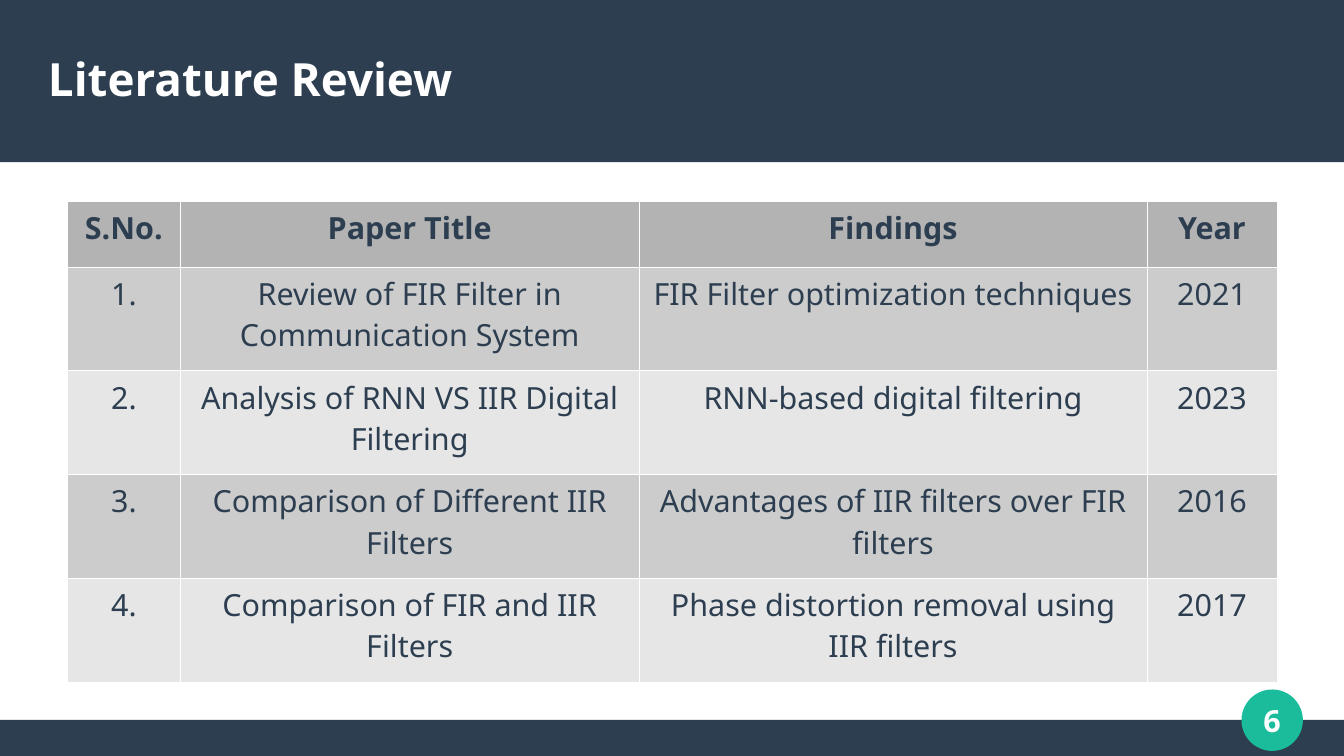
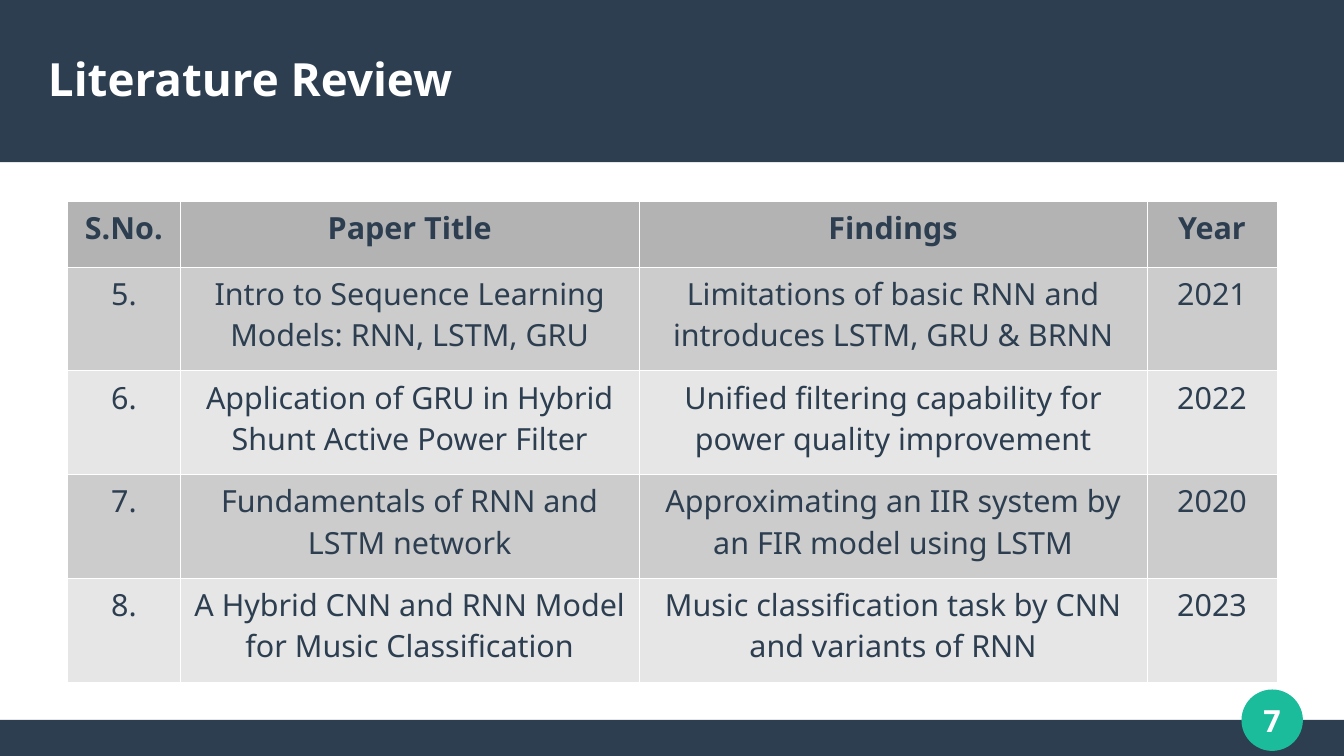
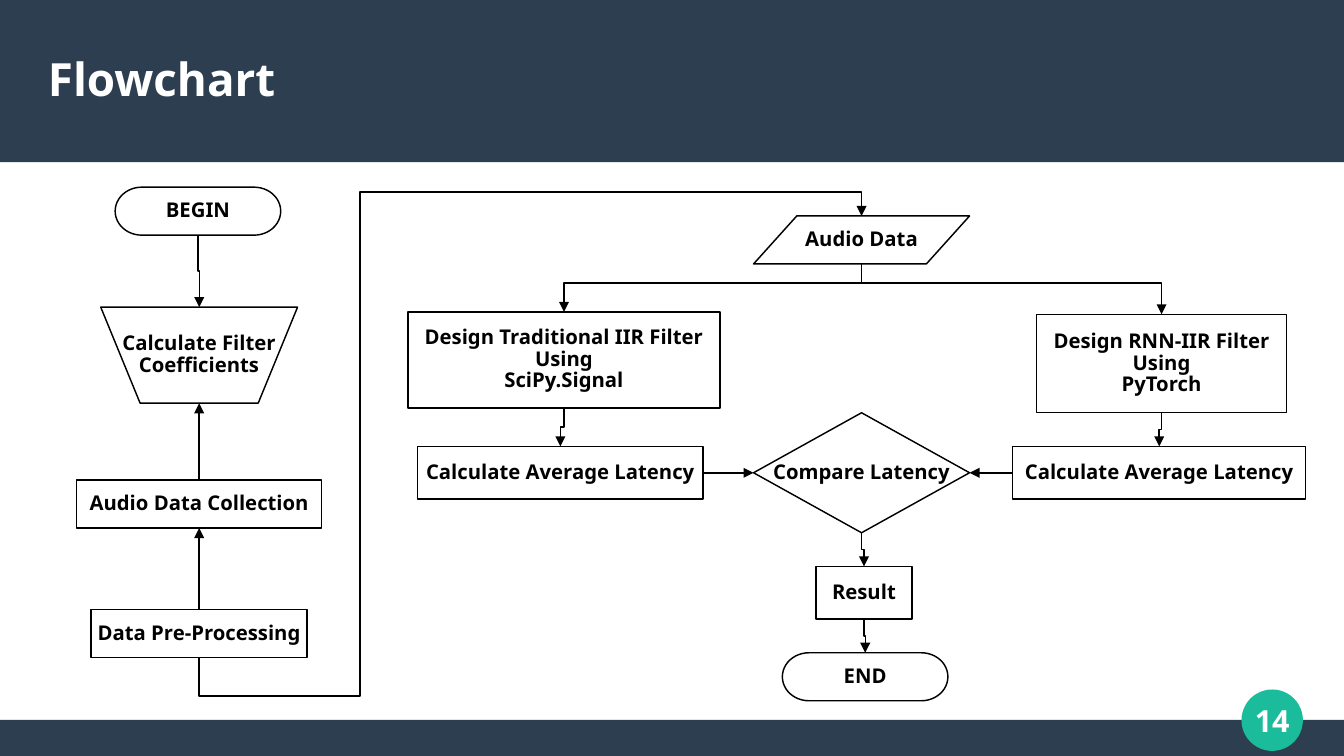
from pptx import Presentation
from pptx import util as u
from pptx.dml.color import RGBColor
from pptx.enum import shapes, text
from pptx.oxml import ns, xmlchemy

COLS, ROWS = 28, 15.75
CELL = u.Cm(1)
FONT = "Noto Sans"
NAVY = RGBColor(0x2C, 0x3E, 0x50)
TEAL = RGBColor(0x1A, 0xBC, 0x9C)
WHITE = RGBColor(0xFF, 0xFF, 0xFF)
BLACK = RGBColor(0, 0, 0)
HEAD = RGBColor(0xB3, 0xB3, 0xB3)
STRIPES = RGBColor(0xCC, 0xCC, 0xCC), RGBColor(0xE6, 0xE6, 0xE6)
THIN = u.Pt(0.85)
KIND = shapes.MSO_SHAPE
LINK = shapes.MSO_CONNECTOR
ALIGN = text.PP_ALIGN

FIELDS = ("S.No.", "Paper Title", "Findings", "Year")
WIDTHS = (2.36, 9.55, 10.59, 2.7)
PAPERS = [
    ("Review of FIR Filter in Communication System",
     "FIR Filter optimization techniques", "2021"),
    ("Analysis of RNN VS IIR Digital Filtering",
     "RNN-based digital filtering", "2023"),
    ("Comparison of Different IIR Filters",
     "Advantages of IIR filters over FIR filters", "2016"),
    ("Comparison of FIR and IIR Filters",
     "Phase distortion removal using IIR filters", "2017"),
    ("Intro to Sequence Learning Models: RNN, LSTM, GRU",
     "Limitations of basic RNN and introduces LSTM, GRU & BRNN", "2021"),
    ("Application of GRU in Hybrid Shunt Active Power Filter",
     "Unified filtering capability for power quality improvement", "2022"),
    ("Fundamentals of RNN and LSTM network",
     "Approximating an IIR system by an FIR model using LSTM", "2020"),
    ("A Hybrid CNN and RNN Model for Music Classification",
     "Music classification task by CNN and variants of RNN", "2023"),
]
PROC = KIND.FLOWCHART_PROCESS
ENDS = KIND.FLOWCHART_TERMINATOR
LATENCY = "Calculate Average Latency"
NODES = {
    "begin": (ENDS, (2.4, 3.9, 3.45, 1), "BEGIN"),
    "calc": (KIND.FLOWCHART_MANUAL_OPERATION, (2.1, 6.4, 4.1, 2),
             "Calculate Filter\nCoefficients"),
    "plain": (PROC, (8.5, 6.5, 6.5, 2),
              "Design Traditional IIR Filter\nUsing\nSciPy.Signal"),
    "compare": (KIND.FLOWCHART_DECISION, (15.7, 8.6, 4.5, 2.5),
                "Compare Latency"),
    "neural": (PROC, (21.6, 6.55, 5.2, 2.05),
               "Design RNN-IIR Filter\nUsing\nPyTorch"),
    "audio": (KIND.FLOWCHART_DATA, (15.7, 4.5, 4.5, 1), "Audio Data"),
    "prep": (PROC, (1.9, 12.7, 4.5, 1), "Data Pre-Processing"),
    "left": (PROC, (8.7, 9.3, 5.95, 1.1), LATENCY),
    "collect": (PROC, (1.6, 10, 5.1, 1), "Audio Data Collection"),
    "right": (PROC, (21.1, 9.3, 6.1, 1.1), LATENCY),
    "result": (PROC, (17, 11.8, 2, 1.1), "Result"),
    "end": (ENDS, (16.3, 13.6, 3.45, 1), "END"),
}
DROPS = [("begin", "calc", None), ("audio", "plain", 0.4),
         ("audio", "neural", 0.4), ("plain", "left", None),
         ("neural", "right", None), ("compare", "result", None),
         ("result", "end", None)]
RUNS = [("collect", "top", "calc", "bottom"),
        ("prep", "top", "collect", "bottom"),
        ("left", "right", "compare", "left"),
        ("right", "left", "compare", "right")]


def grid(*spans):
    return [round(span * CELL) for span in spans]


def add(parent, tag, **attrs):
    node = xmlchemy.OxmlElement(tag)
    for key, value in attrs.items():
        node.set(key, str(value))
    parent.append(node)
    return node


def write(frame, words, size=18, color=NAVY, bold=False,
          align=ALIGN.CENTER, space=None):
    for num, words in enumerate(words.split("\n")):
        para = frame.add_paragraph() if num else frame.paragraphs[0]
        para.alignment = align
        if space:
            para.line_spacing = space
        run = para.add_run()
        run.text = words
        font = run.font
        font.name, font.size, font.bold = FONT, u.Pt(size), bold
        font.color.rgb = color


def pad(frame, *, wrap, inset=None):
    frame.word_wrap = wrap
    frame.vertical_anchor = text.MSO_ANCHOR.MIDDLE
    if inset is not None:
        frame.margin_left = frame.margin_right = inset
        frame.margin_top = frame.margin_bottom = inset


def block(slide, kind, box, fill, edge=None):
    shape = slide.shapes.add_shape(kind, *grid(*box))
    shape.shadow.inherit = False
    shape.fill.solid()
    shape.fill.fore_color.rgb = fill
    if edge is None:
        shape.line.fill.background()
    else:
        shape.line.color.rgb = edge
        shape.line.width = THIN
    return shape


def page(deck, title, number):
    slide = deck.slides.add_slide(deck.slide_layouts[6])
    block(slide, KIND.RECTANGLE, (0, 15, COLS, ROWS - 15), NAVY)
    block(slide, KIND.RECTANGLE, (0, 0, COLS, 3.38), NAVY)
    badge = block(slide, KIND.OVAL, (25.88, 14.38, 1.25, 1.25), TEAL, TEAL)
    pad(badge.text_frame, wrap=False, inset=0)
    write(badge.text_frame, str(number), color=WHITE, bold=True)
    head = slide.shapes.add_textbox(*grid(1, 0.63, 26, 2)).text_frame
    pad(head, wrap=True, inset=0)
    write(head, title, size=27, color=WHITE, bold=True, align=ALIGN.LEFT)
    return slide


def border(cell):
    props = cell._tc.get_or_add_tcPr()
    for spot, side in enumerate(("lnL", "lnR", "lnT", "lnB")):
        line = xmlchemy.OxmlElement("a:" + side)
        line.set("w", str(u.Pt(0.06)))
        fill = add(line, "a:solidFill")
        add(fill, "a:srgbClr", val=WHITE)
        props.insert(spot, line)


def review(slide, first, papers):
    rows = [FIELDS]
    rows += [(f"{num}.", *paper) for num, paper in enumerate(papers, first)]
    tall = [1.37] + [2.16] * len(papers)
    box = grid(1.4, 4.19, sum(WIDTHS), sum(tall))
    table = slide.shapes.add_table(len(rows), len(FIELDS), *box).table
    for col, width in zip(table.columns, grid(*WIDTHS)):
        col.width = width
    for row, height in zip(table.rows, grid(*tall)):
        row.height = height
    for r, row in enumerate(rows):
        for c, words in enumerate(row):
            cell = table.cell(r, c)
            cell.fill.solid()
            cell.fill.fore_color.rgb = STRIPES[(r - 1) % 2] if r else HEAD
            border(cell)
            write(cell.text_frame, words, bold=r == 0)


def port(name, side):
    x, y, w, h = NODES[name][1]
    return {"top": (x + w / 2, y), "bottom": (x + w / 2, y + h),
            "left": (x, y + h / 2), "right": (x + w, y + h / 2)}[side]


def arrow(slide, start, stop, kind=LINK.STRAIGHT):
    line = slide.shapes.add_connector(kind, *grid(*start, *stop))
    line.line.color.rgb = BLACK
    line.line.width = THIN
    add(line.line._get_or_add_ln(), "a:tailEnd", type="triangle")
    add(line._element.spPr, "a:effectLst")
    return line


def bend(slide, start, stop, *turns):
    line = arrow(slide, start, stop, LINK.ELBOW)
    (x, y), (x2, y2) = start, stop
    wide, tall = abs(x2 - x), abs(y2 - y)
    line.left, line.top, line.width, line.height = grid(
        (x + x2 - tall) / 2, (y + y2 - wide) / 2, tall, wide)
    props = line._element.spPr
    frame = props.find(ns.qn("a:xfrm"))
    for flip in ("flipH", "flipV"):
        frame.attrib.pop(flip, None)
    frame.set("rot", str((270 if x2 > x else 90) * 60000))
    if x2 > x and y2 > y:
        frame.set("flipH", "1")
    shape = props.find(ns.qn("a:prstGeom"))
    shape.set("prst", f"bentConnector{len(turns) + 2}")
    guides = shape.find(ns.qn("a:avLst"))
    if guides is None:
        guides = add(shape, "a:avLst")
    for num, turn in enumerate(turns, 1):
        base, span = (x, x2 - x) if num == 2 else (y, y2 - y)
        share = round((turn - base) / span * 100000)
        add(guides, "a:gd", name=f"adj{num}", fmla=f"val {share}")


def flow(slide):
    for kind, box, words in NODES.values():
        frame = block(slide, kind, box, WHITE, BLACK).text_frame
        pad(frame, wrap=False)
        write(frame, words, size=12, color=BLACK, bold=True, space=0.88)
    for above, below, depth in DROPS:
        start, stop = port(above, "bottom"), port(below, "top")
        bend(slide, start, stop,
             start[1] + (depth or (stop[1] - start[1]) / 2))
    for source, out, target, into in RUNS:
        arrow(slide, port(source, out), port(target, into))
    bend(slide, port("prep", "bottom"), port("audio", "top"), 14.5, 7.5, 4)


def main():
    deck = Presentation()
    deck.slide_width, deck.slide_height = grid(COLS, ROWS)
    for number, first in ((6, 1), (7, 5)):
        slide = page(deck, "Literature Review", number)
        review(slide, first, PAPERS[first - 1:first + 3])
    flow(page(deck, "Flowchart", 14))
    deck.save("out.pptx")


if __name__ == "__main__":
    main()
